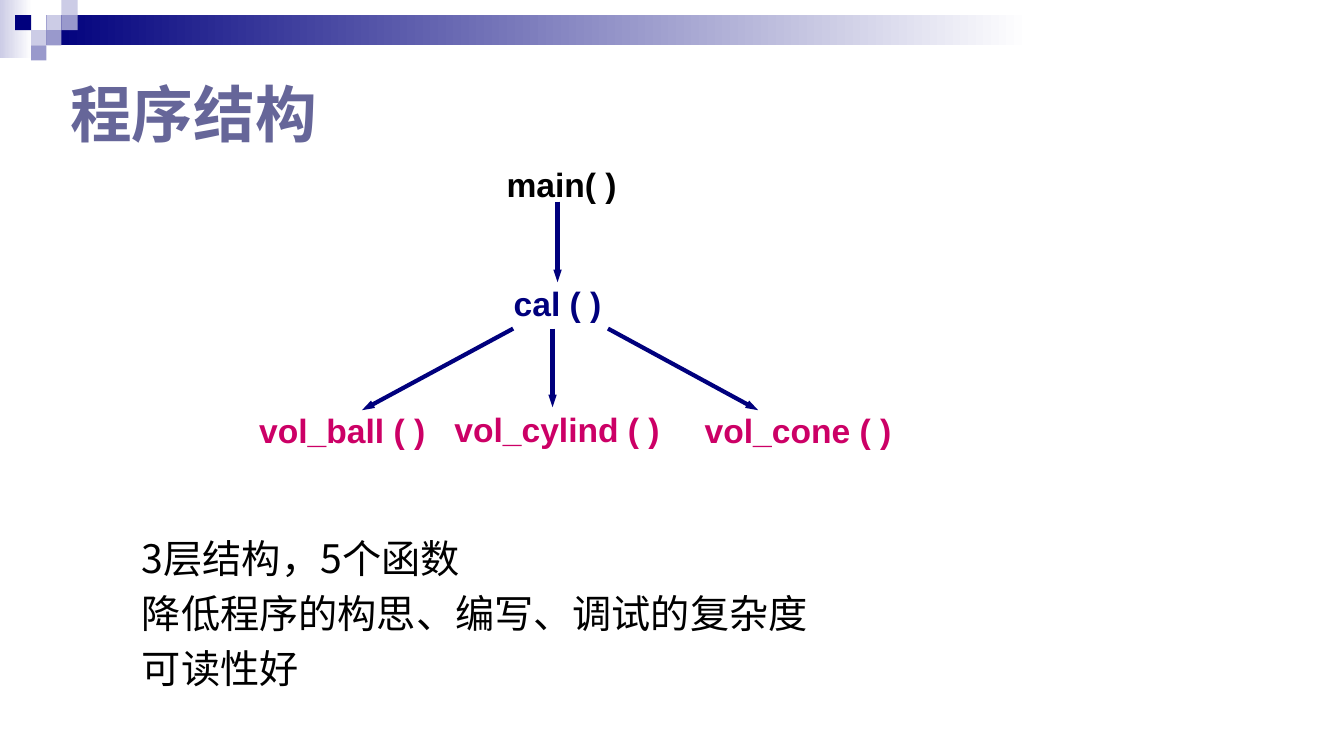
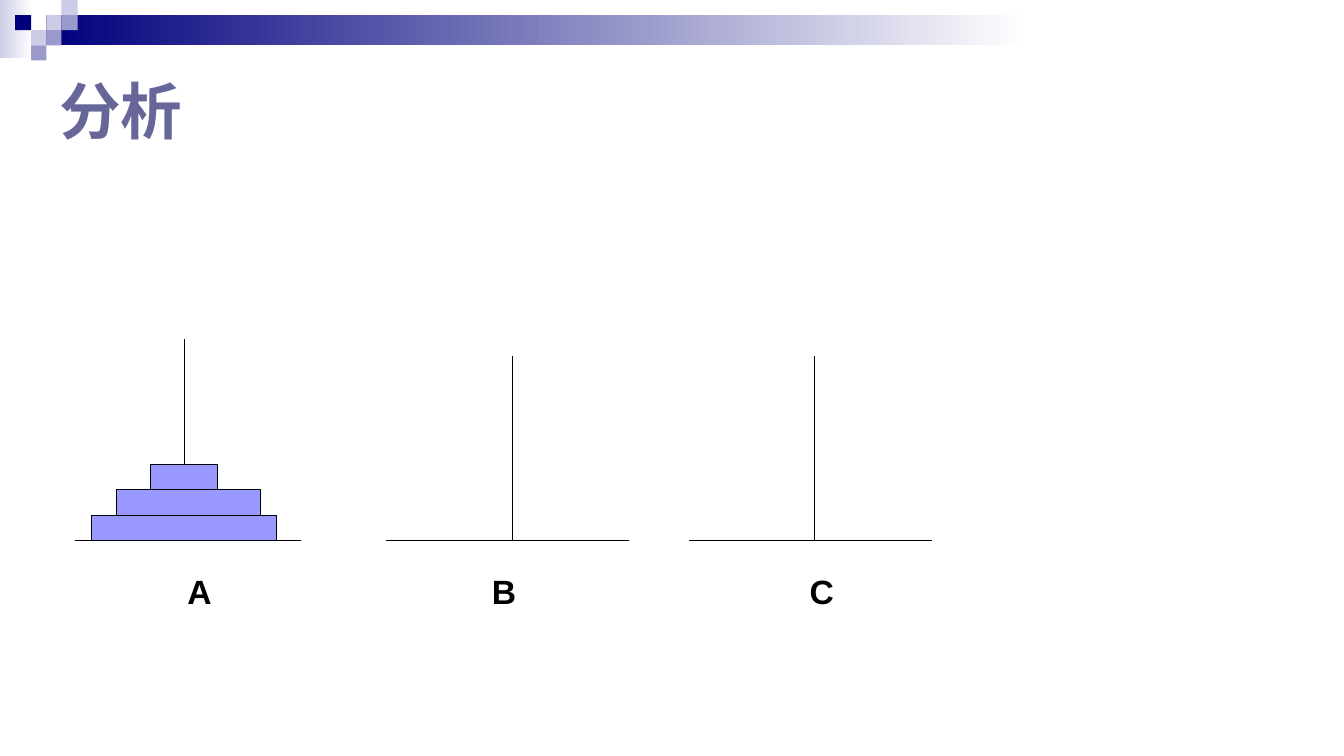
"""Build two lecture slides: a call tree and the Tower of Hanoi set-up."""
from lxml import etree
from pptx import Presentation
from pptx import util as u
from pptx.dml.color import RGBColor
from pptx.enum import shapes, text
from pptx.oxml.ns import qn

PX = 9144
NAVY = RGBColor(0x00, 0x00, 0x7D)
PALE = RGBColor(0xCC, 0xCC, 0xE6)
MID = RGBColor(0x99, 0x99, 0xCC)
SLATE = RGBColor(0x66, 0x66, 0x99)
PINK = RGBColor(0xCC, 0x00, 0x66)
LILAC = RGBColor(0x99, 0x99, 0xFF)
BLACK = RGBColor(0x00, 0x00, 0x00)
WHITE = RGBColor(0xFF, 0xFF, 0xFF)
LATIN, CJK = "Arial", "Noto Sans CJK SC"
RECT = shapes.MSO_SHAPE.RECTANGLE
LEFT, CENTER = text.PP_ALIGN.LEFT, text.PP_ALIGN.CENTER


def write(slide, box, words, size, color, font=LATIN, bold=True, align=CENTER):
    """Add a text box and return its frame."""
    frame = slide.shapes.add_textbox(*(n * PX for n in box)).text_frame
    frame.word_wrap = True
    frame.text = words
    for para in frame.paragraphs:
        para.alignment = align
        for run in para.runs:
            run.font.size = u.Pt(size)
            run.font.bold = bold
            run.font.color.rgb = color
            run.font.name = font
            etree.SubElement(run.font._element, qn("a:ea"), typeface=CJK)
    return frame


def draw(slide, ends, color, width, arrow=False):
    """Add a straight line, with an arrowhead at its end if asked."""
    line = slide.shapes.add_connector(
        shapes.MSO_CONNECTOR.STRAIGHT, *(n * PX for n in ends))
    line.line.color.rgb = color
    line.line.width = u.Pt(width)
    if arrow:
        etree.SubElement(line.line._get_or_add_ln(), qn("a:tailEnd"),
                         type="triangle", w="sm", len="med")
    etree.SubElement(line._element.spPr, qn("a:effectLst"))


deck = Presentation()
deck.slide_width, deck.slide_height = 1333 * PX, 750 * PX

COLS = (0, 15, 31, 46, 61, 77)
ROW = 15
CELLS = ((3, 1, PALE), (4, 0, PALE), (4, 1, MID), (2, 2, PALE),
         (1, 1, NAVY), (3, 2, MID), (2, 3, MID))
bands = [(0, 0, 32, 58, PALE, WHITE), (46, 15, 975, 30, NAVY, WHITE)]
for col, row, color in CELLS:
    bands.append((COLS[col], row * ROW, COLS[col + 1] - COLS[col], ROW, color))

titles = (("程序结构", (60, 66, 850, 92)), ("分析", (49, 68, 850, 83)))
slides = []
for words, box in titles:
    slide = deck.slides.add_slide(deck.slide_layouts[6])
    for x, y, w, h, *colors in bands:
        band = slide.shapes.add_shape(RECT, x * PX, y * PX, w * PX, h * PX)
        band.shadow.inherit = False
        band.line.fill.background()
        if len(colors) == 1:
            band.fill.solid()
            band.fill.fore_color.rgb = colors[0]
        else:
            band.fill.gradient()
            band.fill.gradient_angle = 0
            for stop, color in zip(band.fill.gradient_stops, colors):
                stop.color.rgb = color
    frame = write(slide, box, words, 44, SLATE, CJK, align=LEFT)
    frame.vertical_anchor = text.MSO_ANCHOR.MIDDLE
    slides.append(slide)
tree, hanoi = slides

points = "3层结构，5个函数\n降低程序的构思、编写、调试的复杂度\n可读性好"
body = write(tree, (131, 518, 929, 197), points, 28, BLACK, CJK, False, LEFT)
for para in body.paragraphs:
    para.line_spacing = u.Pt(39)

nodes = (("main( )", (466, 158, 182, 81), BLACK),
         ("cal ( )", (462, 276, 182, 81), NAVY),
         ("vol_ball ( )", (233, 402, 213, 65), PINK),
         ("vol_cylind ( )", (439, 401, 227, 59), PINK),
         ("vol_cone ( )", (673, 402, 237, 65), PINK))
for words, box, color in nodes:
    write(tree, box, words, 24, color)
for ends in ((553, 200, 553, 280), (509, 326, 359, 407),
             (548, 326, 548, 404), (603, 326, 752, 407)):
    draw(tree, ends, NAVY, 3, True)

BASE, DISK = 536, 25
pegs = (("A", 74, 299, 183, 336, 198),
        ("B", 383, 624, 508, 353, 500),
        ("C", 683, 924, 808, 353, 815))
for name, left, right, mid, top, spot in pegs:
    draw(hanoi, (left, BASE, right, BASE), BLACK, 0.75)
    draw(hanoi, (mid, BASE, mid, top), BLACK, 0.75)
    write(hanoi, (spot - 30, 561, 60, 51), name, 24, BLACK)
for step, (x, w) in enumerate(((91, 183), (116, 142), (149, 67)), 1):
    disk = hanoi.shapes.add_shape(
        RECT, x * PX, (BASE - step * DISK) * PX, w * PX, DISK * PX)
    disk.shadow.inherit = False
    disk.fill.solid()
    disk.fill.fore_color.rgb = LILAC
    disk.line.color.rgb = BLACK
    disk.line.width = u.Pt(0.75)

deck.save("out.pptx")
